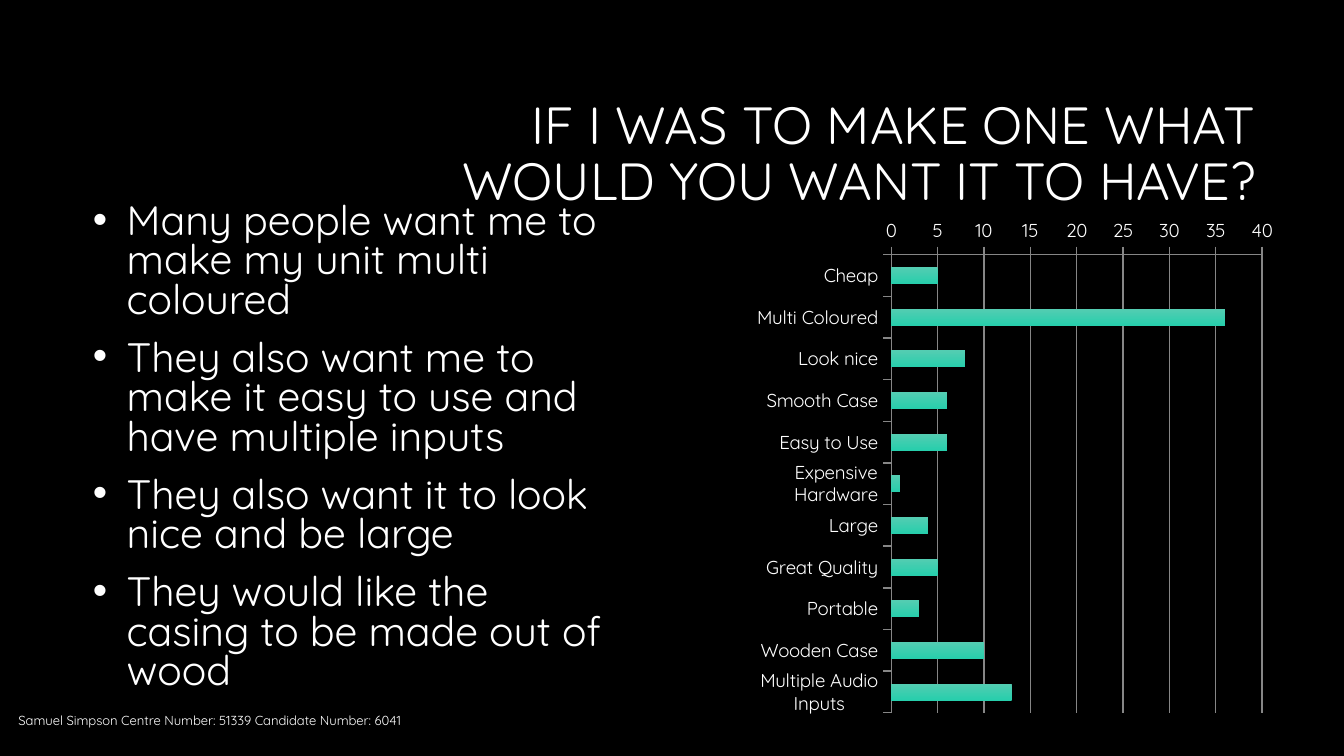
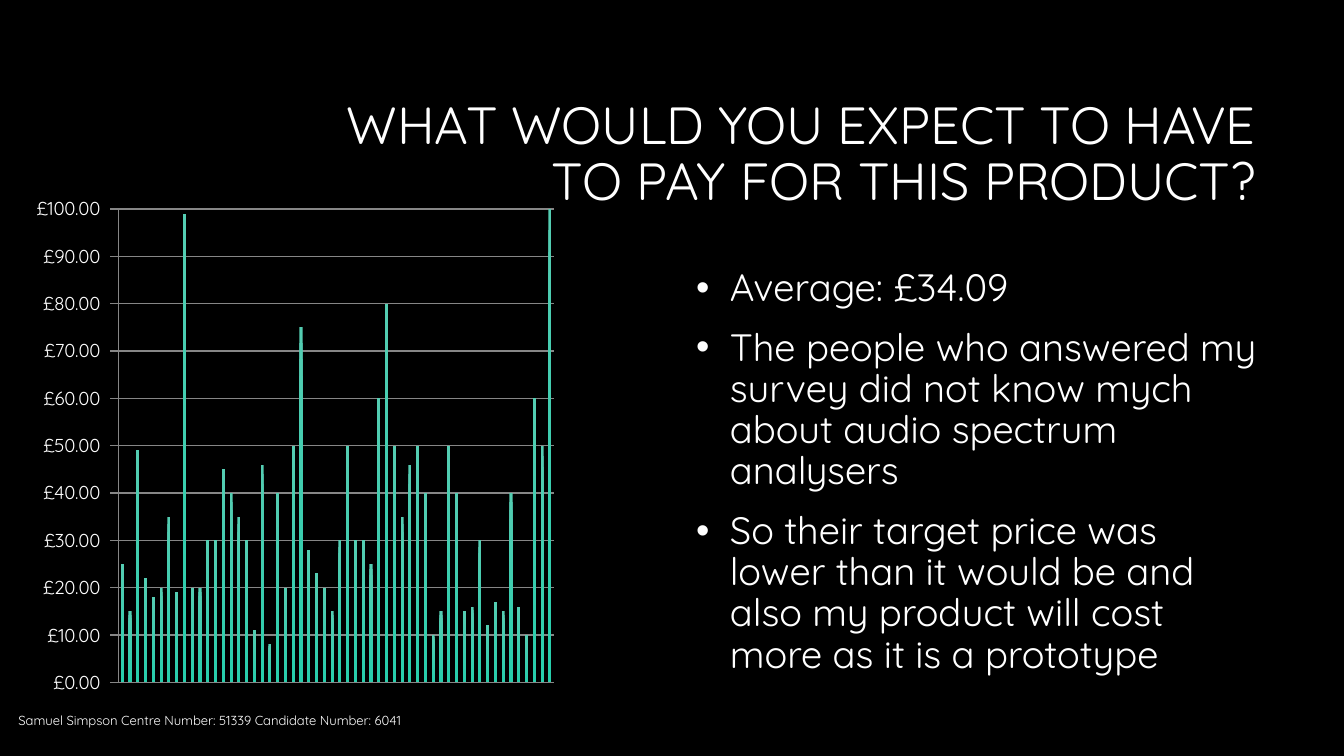
import pptx
import pptx.chart.data
import pptx.dml.color
import pptx.enum.chart
import pptx.enum.text
import pptx.oxml
import pptx.oxml.ns
import pptx.util
from dataclasses import dataclass

Cm = pptx.util.Cm
Pt = pptx.util.Pt


@dataclass(frozen=True)
class Theme:
    font: str = "Quicksand"
    back: str = "000000"
    ink: str = "FFFFFF"
    grid: str = "868686"
    bar_light: str = "54CDB2"
    bar_deep: str = "27CEAC"
    title_size: float = 28
    chart_size: float = 10
    footer_size: float = 7


FOOTER = "Samuel Simpson Centre Number: 51339 Candidate Number: 6041"
POUNDS = '"£"#,##0.00_);[Red]\\("£"#,##0.00\\)'


def rgb(value):
    return pptx.dml.color.RGBColor.from_string(value)


def place(shape, area):
    shape.left, shape.top, shape.width, shape.height = (Cm(length) for length in area)


class SurveyDeck:
    def __init__(self, theme):
        self.theme = theme
        self.deck = pptx.Presentation()
        self.deck.slide_width, self.deck.slide_height = Cm(25.4), Cm(14.29)
        fill = self.deck.slide_master.background.fill
        fill.solid()
        fill.fore_color.rgb = rgb(theme.back)
        self.page = None

    def add_page(self, title):
        self.page = self.deck.slides.add_slide(self.deck.slide_layouts[1])
        self.title(title)
        self.footer()

    def span(self, para, text, size):
        span = para.add_run()
        span.text = text
        span.font.name = self.theme.font
        span.font.size = Pt(size)
        span.font.color.rgb = rgb(self.theme.ink)

    def frame(self, box, anchor):
        frame = box.text_frame
        frame.word_wrap = True
        frame.auto_size = pptx.enum.text.MSO_AUTO_SIZE.NONE
        frame.vertical_anchor = anchor
        return frame

    def title(self, text):
        box = self.page.shapes.title
        place(box, (6.05, 1.6, 17.93, 2.69))
        para = self.frame(box, pptx.enum.text.MSO_ANCHOR.MIDDLE).paragraphs[0]
        para.alignment = pptx.enum.text.PP_ALIGN.RIGHT
        para.line_spacing = 0.9
        self.span(para, text, self.theme.title_size)

    def footer(self):
        box = self.page.shapes.add_textbox(0, 0, 0, 0)
        place(box, (0.1, 13.23, 16.2, 0.76))
        para = self.frame(box, pptx.enum.text.MSO_ANCHOR.MIDDLE).paragraphs[0]
        self.span(para, FOOTER, self.theme.footer_size)

    def bullets(self, area, points, size, line_spacing):
        box = self.page.placeholders[1]
        place(box, area)
        frame = self.frame(box, pptx.enum.text.MSO_ANCHOR.TOP)
        for index, point in enumerate(points):
            para = frame.add_paragraph() if index else frame.paragraphs[0]
            properties = para._p.get_or_add_pPr()
            properties.set("marL", str(Cm(0.64)))
            properties.set("indent", str(-Cm(0.64)))
            bullet = pptx.oxml.parse_xml(
                f'<a:buChar {pptx.oxml.ns.nsdecls("a")} char="•"/>')
            properties.append(bullet)
            para.line_spacing = line_spacing
            para.space_before = Pt(10 if index else 0)
            self.span(para, point, size)

    def line(self, line):
        line.color.rgb = rgb(self.theme.grid)
        line.width = Pt(0.75)

    def chart(self, kind, area, plot_area, categories, values, top, step):
        data = pptx.chart.data.CategoryChartData()
        data.categories = categories
        data.add_series("Series 1", values)
        chart = self.page.shapes.add_chart(
            kind, *(Cm(length) for length in area), data).chart
        chart.has_legend = chart.has_title = False
        chart.font.name = self.theme.font
        chart.font.size = Pt(self.theme.chart_size)
        chart.font.color.rgb = rgb(self.theme.ink)

        # Bars
        plot = chart.plots[0]
        plot.gap_width = 150
        plot.vary_by_categories = False
        fill = plot.series[0].format.fill
        fill.gradient()
        fill.gradient_angle = 270
        for stop, colour in zip(fill.gradient_stops,
                                (self.theme.bar_light, self.theme.bar_deep)):
            stop.color.rgb = rgb(colour)

        # Axes
        for axis in (chart.category_axis, chart.value_axis):
            axis.major_tick_mark = pptx.enum.chart.XL_TICK_MARK.OUTSIDE
            axis.minor_tick_mark = pptx.enum.chart.XL_TICK_MARK.NONE
            self.line(axis.format.line)
        scale = chart.value_axis
        scale.minimum_scale, scale.maximum_scale = 0, top
        scale.major_unit = step
        scale.has_major_gridlines = True
        self.line(scale.major_gridlines.format.line)
        self.fix_plot_area(chart, plot_area)
        return chart

    def fix_plot_area(self, chart, plot_area):
        holder = chart._chartSpace.chart.plotArea
        for old in holder.findall(pptx.oxml.ns.qn("c:layout")):
            holder.remove(old)
        sizes = "".join(f'<c:{name} val="{value}"/>'
                        for name, value in zip("xywh", plot_area))
        holder.insert(0, pptx.oxml.parse_xml(
            f'<c:layout {pptx.oxml.ns.nsdecls("c")}><c:manualLayout>'
            '<c:layoutTarget val="inner"/><c:xMode val="edge"/><c:yMode val="edge"/>'
            f'{sizes}</c:manualLayout></c:layout>'))


def main():
    survey = SurveyDeck(Theme())
    kinds = pptx.enum.chart.XL_CHART_TYPE

    # Wanted features
    survey.add_page("IF I WAS TO MAKE ONE WHAT WOULD YOU WANT IT TO HAVE?")
    survey.bullets((1.5, 3.73, 10.16, 9.73), [
        "Many people want me to make my unit multi coloured",
        "They also want me to make it easy to use and have multiple inputs",
        "They also want it to look nice and be large",
        "They would like the casing to be made out of wood",
    ], 22, 0.8)
    features = {
        "Cheap": 5, "Multi Coloured": 36, "Look nice": 8, "Smooth Case": 6,
        "Easy to Use": 6, "Expensive Hardware": 1, "Large": 4,
        "Great Quality": 5, "Portable": 3, "Wooden Case": 10,
        "Multiple Audio Inputs": 13,
    }
    chart = survey.chart(kinds.BAR_CLUSTERED, (14.1, 3.94, 10.16, 9.73),
                         (0.27, 0.09, 0.69, 0.89),
                         list(features), list(features.values()), 40, 5)
    chart.category_axis.reverse_order = True

    # Expected price
    survey.add_page("WHAT WOULD YOU EXPECT TO HAVE TO PAY FOR THIS PRODUCT?")
    survey.bullets((12.9, 4.95, 11.13, 8.38), [
        "Average: £34.09",
        "The people who answered my survey did not know mych about audio "
        "spectrum analysers",
        "So their target price was lower than it would be and also my product "
        "will cost more as it is a prototype",
    ], 20.4, 0.9)
    prices = [25, 15, 49, 22, 18, 20, 35, 19, 99, 20, 20, 30, 30, 45,
              40, 35, 30, 11, 46, 8, 40, 20, 50, 75, 28, 23, 20, 15,
              30, 50, 30, 30, 25, 60, 80, 50, 35, 46, 50, 40, 10, 15,
              50, 40, 15, 16, 30, 12, 17, 15, 40, 16, 10, 60, 50, 100]
    answers = [str(number) for number in range(1, len(prices) + 1)]
    chart = survey.chart(kinds.COLUMN_CLUSTERED, (0.51, 3.56, 10.16, 9.73),
                         (0.17, 0.04, 0.81, 0.92), answers, prices, 100, 10)
    chart.category_axis.visible = False
    labels = chart.value_axis.tick_labels
    labels.number_format = POUNDS
    labels.number_format_is_linked = False

    survey.deck.save("out.pptx")


if __name__ == "__main__":
    main()
